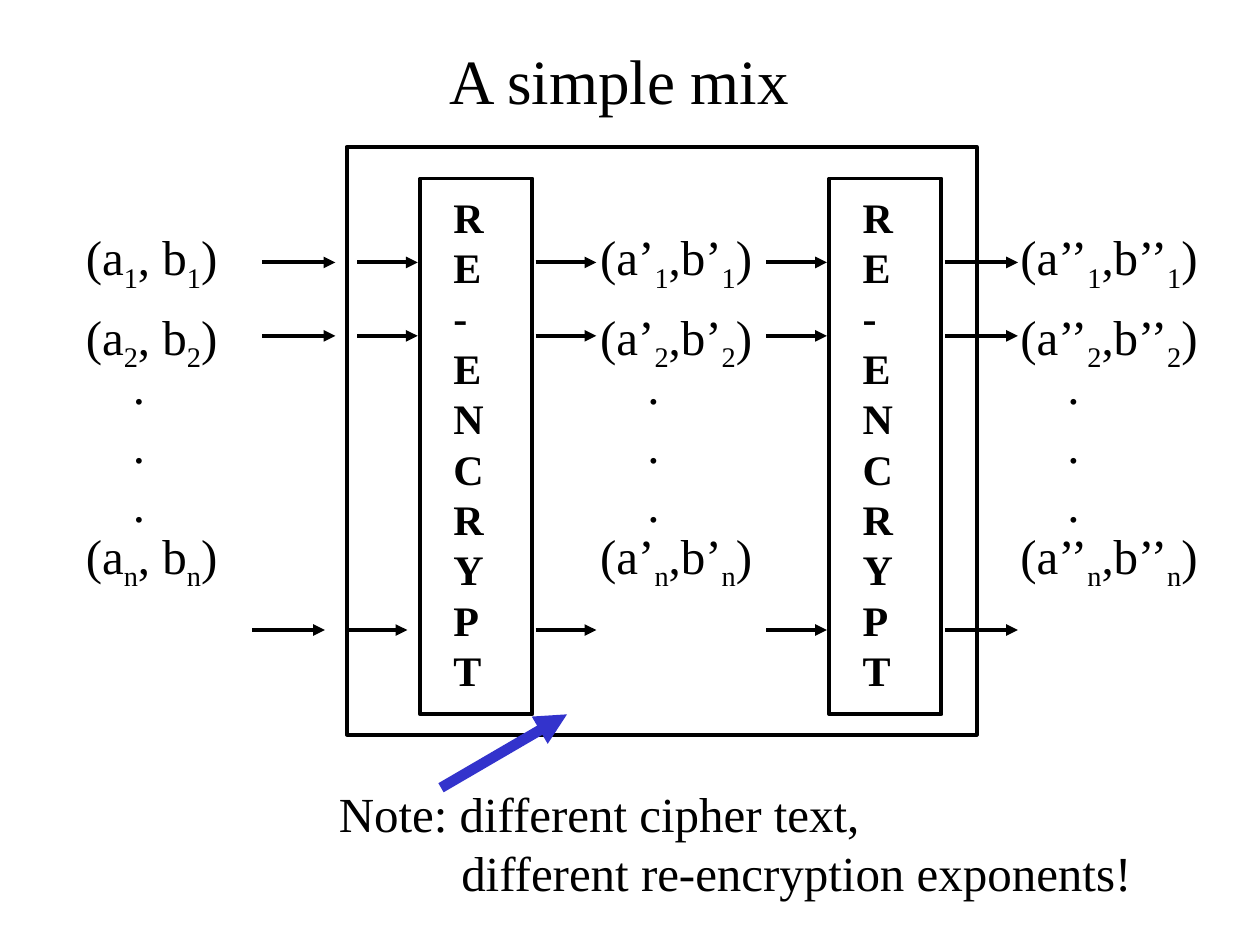
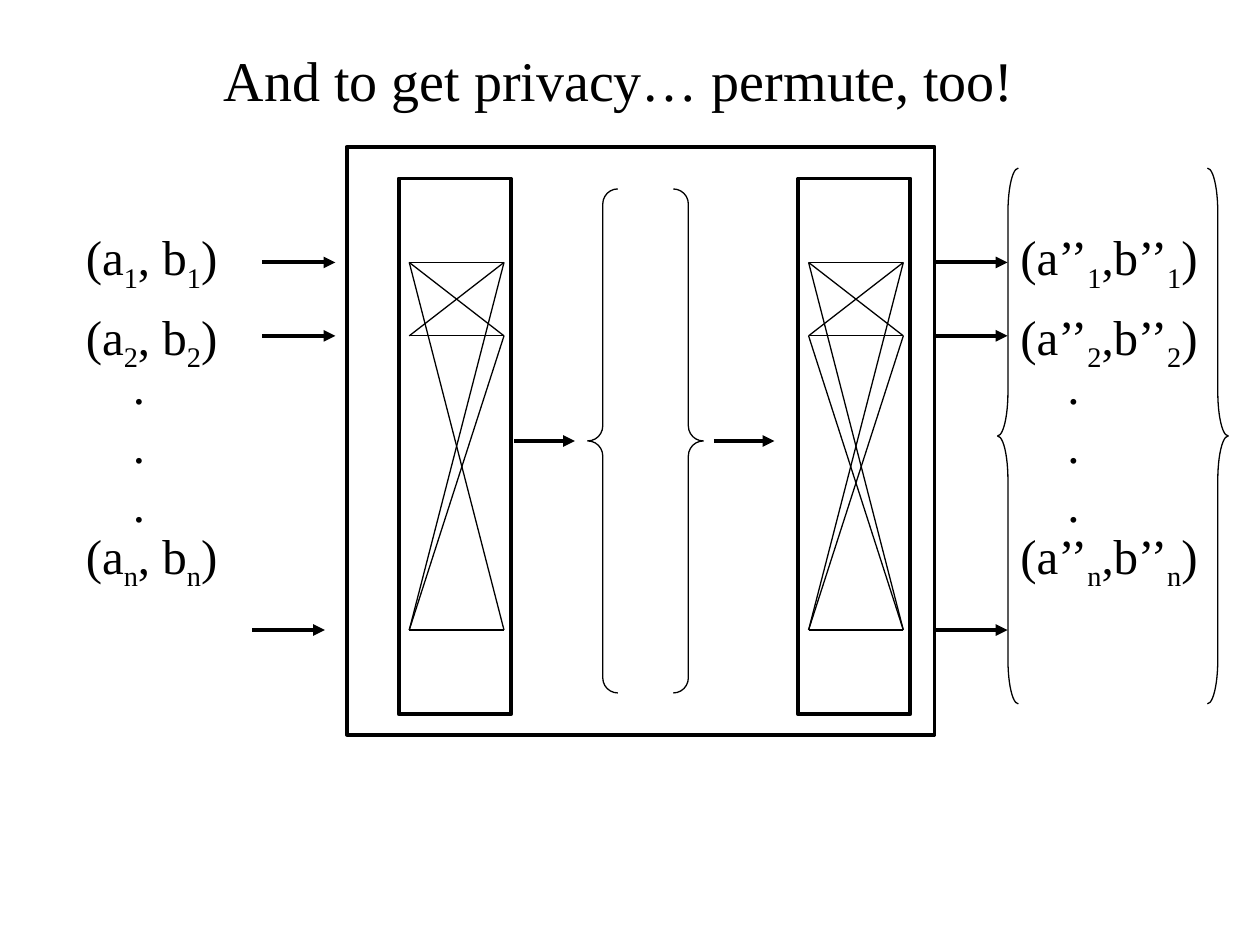
from itertools import product

from lxml.etree import SubElement
from pptx import Presentation
from pptx.dml.color import RGBColor
from pptx.enum.shapes import MSO_CONNECTOR as LINK, MSO_SHAPE as SHAPE
from pptx.enum.text import MSO_ANCHOR as ANCHOR, PP_ALIGN as ALIGN
from pptx.oxml.ns import qn
from pptx.util import Cm, Pt

COLORS = {"ink": "000000", "note_arrow": "3333CC"}
FONT = "Times New Roman"
THICK, THIN = 2.25, 0.75

# Heights of the rows 1, 2 and n, and the lengths of the flow arrows
ROWS = [5.29, 6.77, 12.7]
LONG, SHORT = 1.47, 1.22
BOX_TOP, BOX_WIDTH, BOX_HEIGHT = 3.6, 2.26, 10.8

prs = Presentation()
prs.slide_width, prs.slide_height = Cm(25.4), Cm(19.05)


def add_text(slide, place, paragraphs, size, bold=False, align=ALIGN.LEFT,
             anchor=ANCHOR.TOP, wrap=True):
    """Each paragraph is (runs, left indent, line spacing, space before);
    every second run is a subscript."""
    frame = slide.shapes.add_textbox(*map(Cm, place)).text_frame
    frame.word_wrap = wrap
    frame.vertical_anchor = anchor
    for i, (runs, indent, spacing, before) in enumerate(paragraphs):
        para = frame.paragraphs[0] if i == 0 else frame.add_paragraph()
        para.alignment = align
        para.line_spacing = spacing
        para.space_before = Pt(before)
        para._p.get_or_add_pPr().set("marL", str(Cm(indent)))
        for j, words in enumerate(runs):
            run = para.add_run()
            run.text = words
            run.font.name, run.font.size, run.font.bold = FONT, Pt(size), bold
            run.font.color.rgb = RGBColor.from_string(COLORS["ink"])
            if j % 2:
                run._r.get_or_add_rPr().set("baseline", "-25000")


def add_line(slide, x1, y1, x2, y2, width=THICK, color="ink", arrow=True):
    link = slide.shapes.add_connector(LINK.STRAIGHT, Cm(x1), Cm(y1), Cm(x2), Cm(y2))
    link.line.width = Pt(width)
    link.line.color.rgb = RGBColor.from_string(COLORS[color])
    if arrow:
        SubElement(link.line._get_or_add_ln(), qn("a:tailEnd"), type="triangle")
    SubElement(link._element.spPr, qn("a:effectLst"))


# What differs between the two slides: title, ciphertext columns
# (left, width, prime marks, separator), row arrows (left, length,
# shift of row n) and outlines (shape, place, line width, adjustment)
inputs = (1.48, 3.81, "", ", ")
outputs = (20.32, 5.08, "’’", ",")
input_arrows = (5.29, LONG, -0.21)
steps = [
    {
        "title": ("A simple mix", 36),
        "columns": [inputs, (11.85, 3.81, "’", ","), outputs],
        "arrows": [input_arrows, (7.2, SHORT, -0.21), (10.8, SHORT, 0),
                   (15.45, SHORT, 0), (19.05, LONG, 0)],
        "boxes": [8.47, 16.72],
        "outlines": [(SHAPE.RECTANGLE, (6.99, 2.96, 12.7, 11.85), THICK, None)],
    },
    {
        "title": ("And to get privacy… permute, too!", 32),
        "columns": [inputs, outputs],
        "arrows": [input_arrows, (18.84, LONG, 0)],
        "boxes": [8.04, 16.09],
        "outlines": [
            (SHAPE.RECTANGLE, (6.99, 2.96, 11.85, 11.85), THICK, None),
            (SHAPE.LEFT_BRACE, (20.11, 3.39, 0.42, 10.8), THIN, 2.12),
            (SHAPE.RIGHT_BRACE, (24.34, 3.39, 0.42, 10.8), THIN, 2.12),
            (SHAPE.DOUBLE_BRACE, (11.85, 3.81, 2.33, 10.16), THIN, 0.13),
        ],
    },
]

# Parts that both slides share
slides = []
for step in steps:
    slide = prs.slides.add_slide(prs.slide_layouts[6])
    slides.append(slide)

    title, title_size = step["title"]
    add_text(slide, (1.69, 0, 21.59, 3.18), [([title], 0, 1, 0)], title_size,
             align=ALIGN.CENTER, anchor=ANCHOR.MIDDLE)

    # Ciphertext pairs with three dots between rows 2 and n
    for left, width, primes, separator in step["columns"]:
        first, second, last = [
            [f"(a{primes}", row, f"{separator}b{primes}", row, ")"] for row in "12n"]
        dots = [(["."], 0.95, 0.4, before) for before in (7, 20.4, 20.4)]
        add_text(slide, (left, 4.45, width, 9.95),
                 [(first, 0, 1, 7), (second, 0, 1, 7), *dots, (last, 0, 0.65, 7)], 28)

    for left, length, last_shift in step["arrows"]:
        for y, shift in zip(ROWS, (0, 0, last_shift)):
            add_line(slide, left + shift, y, left + shift + length, y)

    # Mix frame, server boxes and braces
    servers = [(SHAPE.RECTANGLE, (left, BOX_TOP, BOX_WIDTH, BOX_HEIGHT), THICK, None)
               for left in step["boxes"]]
    for kind, place, width, adjustment in step["outlines"] + servers:
        outline = slide.shapes.add_shape(kind, *map(Cm, place))
        outline.shadow.inherit = False
        outline.fill.background()
        outline.line.width = Pt(width)
        outline.line.color.rgb = RGBColor.from_string(COLORS["ink"])
        if adjustment is not None:
            outline.adjustments[0] = adjustment

mix, permuting_mix = slides

# Slide 1: upright labels in the server boxes
for left in steps[0]["boxes"]:
    add_text(mix, (left + 0.42, 3.73, 1.12, 10.41),
             [([letter], 0, 1, 0) for letter in "RE-ENCRYPT"], 24, bold=True, wrap=False)

# Slide 1: note and its arrow
add_text(mix, (6.58, 15.67, 17, 2.64),
         [(["Note: different cipher text,"], 0, 1, 0),
          (["different re-encryption exponents!"], 2.47, 1, 0)], 28)
add_line(mix, 8.89, 15.88, 11.43, 14.4, width=6, color="note_arrow")

# Slide 2: crossing paths; the first server has none from row 2 to row n
skipped = [{(ROWS[1], ROWS[2])}, set()]
for left, missing in zip(steps[1]["boxes"], skipped):
    for start, end in product(ROWS, ROWS):
        if (start, end) not in missing:
            add_line(permuting_mix, left + 0.21, start, left + 2.12, end,
                     width=THIN, arrow=False)

# Slide 2: arrows into and out of the middle braces
for left in (10.37, 14.39):
    add_line(permuting_mix, left, 8.89, left + SHORT, 8.89)

prs.save("out.pptx")
